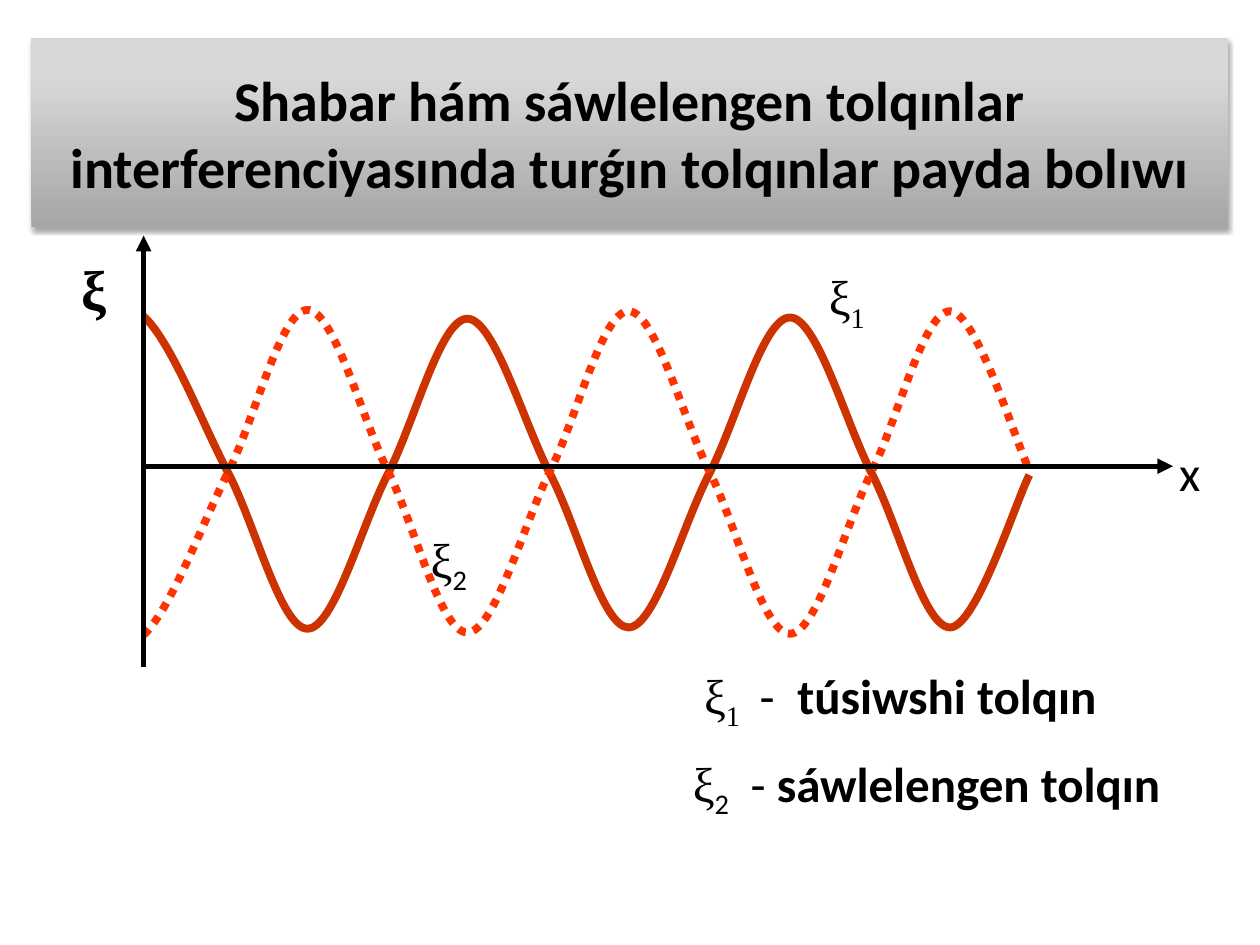
"""Build the slide on standing waves formed by incident and reflected waves."""
from lxml import etree
from pptx import Presentation
from pptx.dml.color import RGBColor
from pptx.enum.dml import MSO_LINE
from pptx.enum.shapes import MSO_CONNECTOR, MSO_SHAPE
from pptx.enum.text import MSO_ANCHOR, PP_ALIGN
from pptx.oxml import parse_xml
from pptx.oxml.ns import nsdecls, qn
from pptx.util import Inches, Pt

STRAIGHT = MSO_CONNECTOR.STRAIGHT
RECTANGLE = MSO_SHAPE.RECTANGLE
DOTTED = MSO_LINE.ROUND_DOT
MIDDLE = MSO_ANCHOR.MIDDLE
CENTER = PP_ALIGN.CENTER

SERIF = {"name": "Times New Roman", "size": Pt(28)}
SANS = {"name": "Calibri", "size": Pt(28)}
SANS_BOLD = {**SANS, "bold": True}
SERIF_SUB = {**SERIF, "baseline": -25000}
SANS_SUB = {**SANS, "baseline": -25000}


def color(hex_code):
    return RGBColor.from_string(hex_code)


def add_run(paragraph, text, style):
    run = paragraph.add_run()
    run.text = text
    run.font.color.rgb = color("000000")
    for key, value in style.items():
        if key == "baseline":
            run._r.get_or_add_rPr().set(key, str(value))
        else:
            setattr(run.font, key, value)


prs = Presentation()
prs.slide_width, prs.slide_height = Inches(10), Inches(7.5)
slide = prs.slides.add_slide(prs.slide_layouts[6])
shapes = slide.shapes

# left, top, width, height, wrap, tab stops, runs
labels = [
    (0.55, 1.97, 0.43, 0.64, True, [], [("ξ", {**SERIF, "size": Pt(32), "bold": True})]),
    (9.26, 3.46, 0.37, 0.57, False, [], [("x", SANS)]),
    (3.32, 4.15, 0.76, 0.67, True, [], [("ξ", SERIF), ("2", SANS_SUB)]),
    (6.48, 2.07, 0.65, 0.67, True, [], [("ξ", SERIF), ("1", SERIF_SUB)]),
    (5.49, 5.23, 4.26, 0.57, True, [0.44, 0.74],
     [("ξ", SERIF), ("1", SERIF_SUB), ("\t-\t", SANS), ("túsiwshi tolqın", SANS_BOLD)]),
    (5.4, 5.93, 3.98, 0.57, False, [0.46],
     [("ξ", SERIF), ("2", SANS_SUB), ("\t- ", SANS), ("sáwlelengen tolqın", SANS_BOLD)]),
]
for left, top, width, height, wrap, tabs, runs in labels:
    label = shapes.add_textbox(Inches(left), Inches(top), Inches(width), Inches(height))
    label.text_frame.word_wrap = wrap
    line_of_text = label.text_frame.paragraphs[0]
    if tabs:
        tab_list = etree.SubElement(line_of_text._p.get_or_add_pPr(), qn("a:tabLst"))
        for stop in tabs:
            etree.SubElement(tab_list, qn("a:tab"), pos=str(Inches(stop)), algn="l")
    for text, style in runs:
        add_run(line_of_text, text, style)

origin_x = 1.14
knots_x = [origin_x, 1.81, 2.44, 3.08, 3.71, 4.37, 4.99, 5.63, 6.27, 6.92, 7.54, 8.17]
waves = [
    ([2.51, 3.75, 4.99, 3.76, 2.53, 3.77, 4.98, 3.76, 2.52, 3.76, 4.98, 3.77], "CC3300", None),
    ([5.04, 3.75, 2.46, 3.74, 5.02, 3.73, 2.47, 3.74, 5.03, 3.74, 2.47, 3.73], "FF3300", DOTTED),
]
for knots_y, stroke, dash in waves:
    knots = [(Inches(x), Inches(y)) for x, y in zip(knots_x, knots_y)]
    builder = shapes.build_freeform(*knots[0])
    builder.add_line_segments(knots[1:], close=False)
    wave = builder.convert_to_shape()
    local = [(x - wave.left, y - wave.top) for x, y in knots]
    before_start = (2 * local[0][0] - local[1][0], local[0][1])
    padded = [before_start, *local, local[-1]]
    for index, segment in enumerate(list(wave._element.iter(qn("a:lnTo")))):
        previous, start, end, following = padded[index:index + 4]
        handle_out = [s + (e - p) // 6 for p, s, e in zip(previous, start, end)]
        handle_in = [e - (f - s) // 6 for s, e, f in zip(start, end, following)]
        curve = etree.Element(qn("a:cubicBezTo"))
        for x, y in (handle_out, handle_in, end):
            etree.SubElement(curve, qn("a:pt"), x=str(x), y=str(y))
        segment.getparent().replace(segment, curve)
    wave.shadow.inherit = False
    wave.fill.background()
    wave.line.color.rgb = color(stroke)
    wave.line.width = Pt(4.5)
    if dash:
        wave.line.dash_style = dash

title = shapes.add_shape(RECTANGLE, Inches(0.25), Inches(0.3), Inches(9.5), Inches(1.5))
title.line.fill.background()
title.fill.gradient()
title.fill.gradient_angle = 90
for stop, (position, shade) in zip(title.fill.gradient_stops, [(0, "A6A6A6"), (0.8, "D8D8D8")]):
    stop.position = position
    stop.color.rgb = color(shade)
title._element.spPr.append(parse_xml(
    f'<a:effectLst {nsdecls("a")}><a:outerShdw blurRad="{Pt(3.1)}" dist="{Pt(1.8)}" dir="5400000" '
    'rotWithShape="0"><a:srgbClr val="000000"><a:alpha val="35000"/></a:srgbClr>'
    '</a:outerShdw></a:effectLst>'))
title.text_frame.word_wrap = True
title.text_frame.vertical_anchor = MIDDLE
heading = title.text_frame.paragraphs[0]
heading.alignment = CENTER
add_run(heading, "Shabar hám sáwlelengen tolqınlar interferenciyasında turǵın tolqınlar payda bolıwı",
        {**SANS_BOLD, "size": Pt(32)})

axes = shapes.add_group_shape()
for start_x, start_y, end_x, end_y in [(origin_x, 5.29, origin_x, 1.87), (origin_x, 3.7, 9.31, 3.7)]:
    axis = axes.shapes.add_connector(
        STRAIGHT, Inches(start_x), Inches(start_y), Inches(end_x), Inches(end_y))
    axis.line.color.rgb = color("000000")
    axis.line.width = Pt(3)
    etree.SubElement(axis.line._get_or_add_ln(), qn("a:tailEnd"), type="triangle")
    etree.SubElement(axis._element.spPr, qn("a:effectLst"))

prs.save("out.pptx")
